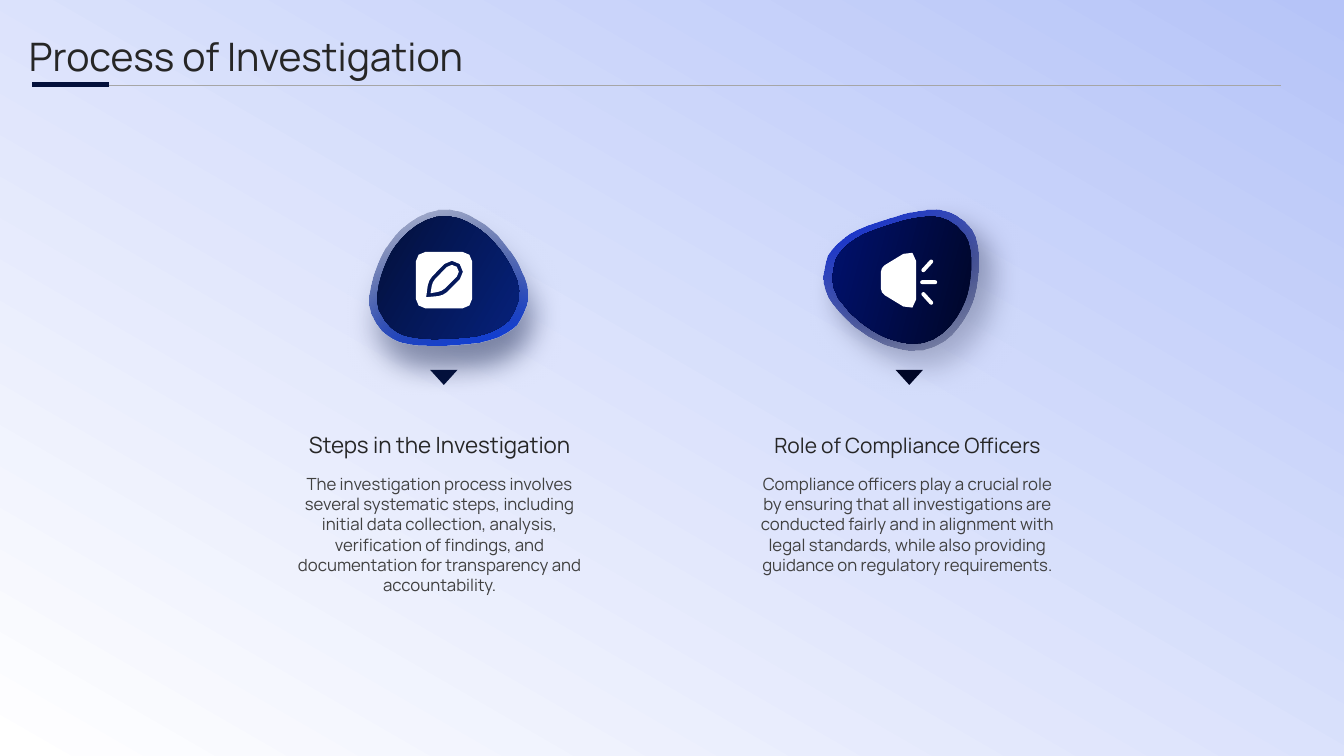
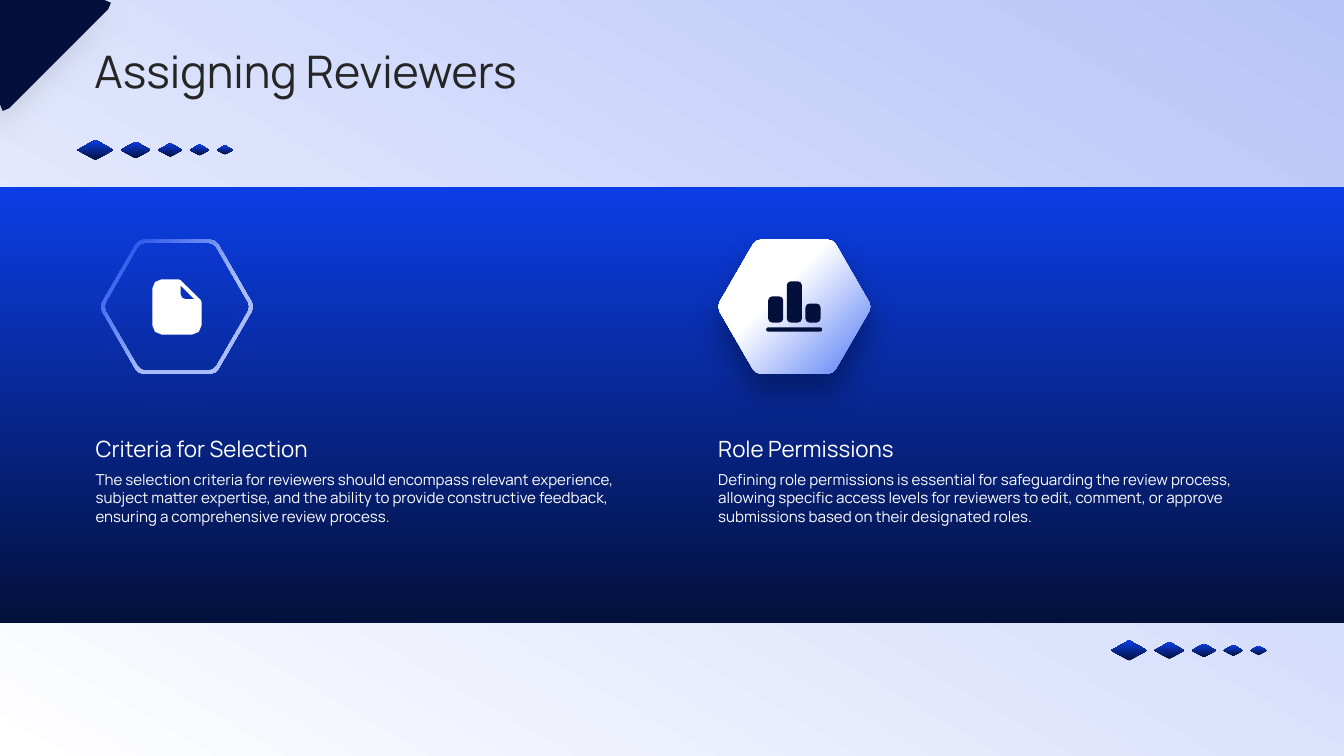
from math import ceil, cos, dist, radians, sin

from lxml.etree import SubElement
from pptx import Presentation
from pptx.dml.color import RGBColor
from pptx.enum.shapes import MSO_CONNECTOR, MSO_SHAPE
from pptx.enum.text import MSO_ANCHOR, MSO_AUTO_SIZE, PP_ALIGN
from pptx.oxml.ns import qn
from pptx.util import Cm, Pt

FONT = "Manrope"
NAVY = RGBColor(0x03, 0x10, 0x3B)
BLUE = RGBColor(0x0C, 0x3E, 0xE6)
DEEP_BLUE = RGBColor(0x06, 0x21, 0x7B)
MIDNIGHT = RGBColor(0x00, 0x06, 0x27)
ROYAL = RGBColor(0x00, 0x23, 0xE3)
DARK_ROYAL = RGBColor(0x00, 0x11, 0x6E)
PERIWINKLE = RGBColor(0xB6, 0xC4, 0xF8)
PALE_BLUE = RGBColor(0xAA, 0xBD, 0xFB)
SKY = RGBColor(0x54, 0x7A, 0xF6)
LILAC = RGBColor(0xD7, 0x83, 0xFF)
WHITE = RGBColor(0xFF, 0xFF, 0xFF)
INK = RGBColor(0x26, 0x26, 0x26)
BODY_GREY = RGBColor(0x40, 0x40, 0x40)
RULE_GREY = RGBColor(0xA6, 0xA6, 0xA6)
SHADOW_GREY = RGBColor(0x80, 0x80, 0x80)

SLIDE_W, SLIDE_H = 33.87, 19.05
COMPARISON = 4  # layout with a title, two headings and two bodies

# Bezier points of the badge around its centre, in cm; every third is on the curve
BLOB = [
    (1.77, -0.56), (1.59, -0.86), (1.33, -1.17), (1.03, -1.4), (0.85, -1.52),
    (0.65, -1.65), (0.42, -1.73), (-0.47, -2.03), (-1.21, -1.22), (-1.46, -0.81),
    (-1.69, -0.41), (-1.99, 0.38), (-1.82, 0.84), (-1.61, 1.3), (-1.36, 1.45),
    (-1.1, 1.55), (-0.83, 1.63), (-0.42, 1.65), (-0.29, 1.65), (-0.17, 1.65),
    (0.52, 1.63), (0.9, 1.57), (1.13, 1.52), (1.36, 1.45), (1.56, 1.32),
    (1.66, 1.27), (1.74, 1.19), (1.82, 1.12), (1.89, 1.02), (1.94, 0.91),
    (1.99, 0.81), (2.07, 0.66), (2.12, 0.48), (2.1, 0.3), (2.1, 0.1),
    (2.02, -0.08), (1.94, -0.23), (1.89, -0.36), (1.84, -0.46), (1.77, -0.56),
]


def set_gradient(fill, start, end, angle=90, start_at=0):
    """Two-stop gradient; the angle runs counter-clockwise from the left edge."""
    fill.gradient()
    fill.gradient_angle = angle
    for stop, color, position in zip(fill.gradient_stops, (start, end), (start_at, 1)):
        stop.color.rgb = color
        stop.position = position


def set_alpha(color_element, percent):
    SubElement(color_element, qn("a:alpha"), val=str(percent * 1000))


def make_radial(shape, *sides):
    """Turn a linear gradient into a circular one that starts in a corner."""
    grad = shape.element.spPr.find(qn("a:gradFill"))
    grad.remove(grad.find(qn("a:lin")))
    circle = SubElement(grad, qn("a:path"), path="circle")
    SubElement(circle, qn("a:fillToRect"), **dict.fromkeys(sides, "100000"))


def add_shadow(shape, color, alpha, blur, distance, direction=90):
    effects = shape.element.spPr.find(qn("a:effectLst"))
    outer = SubElement(effects, qn("a:outerShdw"), blurRad=str(Pt(blur)),
                       dist=str(Pt(distance)), dir=str(direction * 60000),
                       algn="ctr", rotWithShape="0")
    set_alpha(SubElement(outer, qn("a:srgbClr"), val=str(color)), alpha)


def make_plain(shape, color=None):
    shape.shadow.inherit = False
    shape.line.fill.background()
    if color is not None:
        shape.fill.solid()
        shape.fill.fore_color.rgb = color
    return shape


def add_preset(s, kind, x, y, w, h, color=None):
    return make_plain(s.shapes.add_shape(kind, Cm(x), Cm(y), Cm(w), Cm(h)), color)


def add_panel(s, y, h, start, end, angle, layer):
    """Full-width gradient rectangle, placed behind the placeholders."""
    panel = add_preset(s, MSO_SHAPE.RECTANGLE, 0, y, SLIDE_W, h)
    set_gradient(panel.fill, start, end, angle)
    s.shapes.element.insert(2 + layer, panel.element)


def add_outline(s, *contours, color=None):
    """One freeform from closed contours in cm; inner contours are holes."""
    builder = None
    for contour in contours:
        first, *rest = [(Cm(x), Cm(y)) for x, y in contour]
        if builder is None:
            builder = s.shapes.build_freeform(*first)
        else:
            builder.move_to(*first)
        builder.add_line_segments(rest, close=True)
    return make_plain(builder.convert_to_shape(), color)


def add_rule(s, x1, x2, y, color, width):
    line = s.shapes.add_connector(MSO_CONNECTOR.STRAIGHT, Cm(x1), Cm(y), Cm(x2), Cm(y))
    line.line.color.rgb = color
    line.line.width = Pt(width)
    SubElement(line.element.spPr, qn("a:effectLst"))


def curve(p0, p1, p2, p3):
    """Points on a cubic Bezier curve, both ends included."""
    steps = max(2, ceil(dist(p0, p3) / 0.25))
    points = []
    for i in range(steps + 1):
        t = i / steps
        weights = ((1 - t) ** 3, 3 * t * (1 - t) ** 2, 3 * t * t * (1 - t), t ** 3)
        points.append(tuple(sum(w * p[axis] for w, p in zip(weights, (p0, p1, p2, p3)))
                            for axis in (0, 1)))
    return points


def toward(a, b, share):
    return tuple(m + (n - m) * share for m, n in zip(a, b))


def rounded(*corners):
    """Polygon of (x, y, cut) corners, each rounded off over its cut length."""
    points = []
    for i, (x, y, cut) in enumerate(corners):
        corner = (x, y)
        if not cut:
            points.append(corner)
            continue
        before, after = corners[i - 1][:2], corners[(i + 1) % len(corners)][:2]
        start, end = (toward(corner, p, cut / dist(corner, p)) for p in (before, after))
        points += curve(start, toward(start, corner, 0.55), toward(end, corner, 0.55), end)
    return points


def rounded_box(x, y, w, h, cut):
    return rounded((x, y, cut), (x + w, y, cut), (x + w, y + h, cut), (x, y + h, cut))


def ray(x1, y1, x2, y2, half=0.05):
    """Thin bar with round ends between two points."""
    length = dist((x1, y1), (x2, y2))
    ux, uy = (x2 - x1) / length * half, (y2 - y1) / length * half
    return rounded((x1 - ux + uy, y1 - uy - ux, half), (x2 + ux + uy, y2 + uy - ux, half),
                   (x2 + ux - uy, y2 + uy + ux, half), (x1 - ux - uy, y1 - uy + ux, half))


def hexagon(cx, cy, radius):
    return rounded(*[(cx + radius * cos(radians(a)), cy + radius * sin(radians(a)), 0.13)
                     for a in range(0, 360, 60)])


def blob(cx, cy, turn, scale=1):
    c, n = cos(radians(turn)) * scale, sin(radians(turn)) * scale
    turned = [(cx + x * c - y * n, cy + x * n + y * c) for x, y in BLOB]
    points = []
    for i in range(0, len(turned) - 1, 3):
        points += curve(*turned[i:i + 4])[1:]
    return points


def write(ph, text, x, y, w, h, size, color, align=PP_ALIGN.LEFT, anchor=MSO_ANCHOR.TOP,
          inset=(0, 0)):
    """Place a placeholder and give it one plain paragraph."""
    ph.left, ph.top, ph.width, ph.height = Cm(x), Cm(y), Cm(w), Cm(h)
    tf = ph.text_frame
    tf.word_wrap = True
    tf.auto_size = MSO_AUTO_SIZE.NONE
    tf.vertical_anchor = anchor
    tf.margin_left = tf.margin_right = Cm(inset[0])
    tf.margin_top = tf.margin_bottom = Cm(inset[1])
    p = tf.paragraphs[0]
    pPr = p._p.get_or_add_pPr()
    pPr.set("marL", "0")
    pPr.set("indent", "0")
    SubElement(pPr, qn("a:buNone"))
    p.alignment = align
    p.space_before = Pt(0)
    p.line_spacing = 1.0
    r = p.add_run()
    r.text = text
    r.font.name = FONT
    r.font.size = Pt(size)
    r.font.bold = False
    r.font.color.rgb = color


def write_columns(s, columns, lefts, width, heading, body):
    """Fill the heading and body placeholders of both columns."""
    for i, ((title, text, size), x) in enumerate(zip(columns, lefts)):
        write(s.placeholders[1 + 2 * i], title, x, w=width, size=size,
              anchor=MSO_ANCHOR.BOTTOM, **heading)
        write(s.placeholders[2 + 2 * i], text, x, w=width, **body)


def add_badge(s, cx, turn, dark, bright, inner, shadow_direction):
    cy = 7.06
    rim = add_outline(s, blob(cx, cy, turn))
    set_gradient(rim.fill, dark, bright, 285 - turn)
    set_alpha(next(rim.element.spPr.iter(qn("a:srgbClr"))), 20)
    add_shadow(rim, dark, 55, 20, 16, shadow_direction)
    core = add_outline(s, blob(cx, cy, turn, 0.9))
    set_gradient(core.fill, dark, inner, 330 - turn)
    pointer = add_preset(s, MSO_SHAPE.ISOSCELES_TRIANGLE, cx - 0.35, 9.32, 0.69, 0.38, dark)
    pointer.rotation = 180


def add_edit_icon(s):
    add_outline(
        s,
        rounded_box(10.48, 6.35, 1.42, 1.42, 0.24),
        rounded((10.74, 7.49, 0), (10.8, 7.06, 0.13), (11.39, 6.46, 0.27),
                (11.78, 6.85, 0.27), (11.18, 7.45, 0.13)),
        rounded((10.85, 7.39, 0), (10.9, 7.1, 0.1), (11.39, 6.6, 0.18),
                (11.64, 6.85, 0.18), (11.14, 7.34, 0.1)),
        color=WHITE)


def add_speaker_icon(s):
    horn = rounded((22.2, 6.74, 0.11), (23.09, 6.2, 0.38), (23.09, 7.92, 0.38),
                   (22.2, 7.38, 0.11))
    rays = [ray(23.27, 7.11 + 0.3 * side, 23.47, 7.11 + 0.52 * side) for side in (-1, 1)]
    add_outline(s, horn, *rays, ray(23.24, 7.11, 23.57, 7.11), color=WHITE)


def add_document_icon(s):
    add_outline(
        s,
        rounded((3.84, 7.04, 0.23), (4.53, 7.04, 0.04), (5.08, 7.58, 0.04),
                (5.08, 8.43, 0.23), (3.84, 8.43, 0.23)),
        rounded((4.55, 7.19, 0), (4.9, 7.54, 0), (4.55, 7.54, 0.13)),
        color=WHITE)


def add_bars_icon(s):
    bars = [rounded_box(19.36 + 0.47 * i, 8.13 - height, 0.38, height, 0.1)
            for i, height in enumerate((0.66, 1.04, 0.48))]
    add_outline(s, rounded_box(19.31, 8.25, 1.41, 0.11, 0.05), *bars, color=NAVY)


def add_diamonds(s, x, cy):
    for width in (0.91, 0.76, 0.62, 0.5, 0.42):
        height = width * 0.56
        sp = add_preset(s, MSO_SHAPE.DIAMOND, x, cy - height / 2, width, height)
        set_gradient(sp.fill, NAVY, BLUE)
        x += width + 0.18


def add_base_slide(prs):
    s = prs.slides.add_slide(prs.slide_layouts[COMPARISON])
    add_panel(s, 0, SLIDE_H, PERIWINKLE, WHITE, 240, layer=0)
    return s


def add_investigation_slide(prs):
    s = add_base_slide(prs)
    write(s.shapes.title, "Process of Investigation", 0.48, 0.69, 31.78, 1.35, 28, INK,
          inset=(0.25, 0.13))
    add_rule(s, 0.86, 32.28, 2.14, RULE_GREY, 0.5)
    add_rule(s, 0.81, 2.74, 2.14, NAVY, 3.5)
    columns = [
        ("Steps in the Investigation", "The investigation process involves several systematic steps, including initial data collection, analysis, verification of findings, and documentation for transparency and accountability.", 16),
        ("Role of Compliance Officers", "Compliance officers play a crucial role by ensuring that all investigations are conducted fairly and in alignment with legal standards, while also providing guidance on regulatory requirements.", 15),
    ]
    centred = dict(align=PP_ALIGN.CENTER, inset=(0.18, 0.1))
    write_columns(s, columns, (6.99, 18.78), 8.18,
                  dict(y=10.07, h=1.57, color=INK, **centred),
                  dict(y=11.84, h=5.16, size=12, color=BODY_GREY, **centred))
    add_badge(s, 11.19, 0, NAVY, BLUE, DEEP_BLUE, 75)
    add_edit_icon(s)
    add_badge(s, 22.92, 165, MIDNIGHT, ROYAL, DARK_ROYAL, 50)
    add_speaker_icon(s)


def add_reviewers_slide(prs):
    s = add_base_slide(prs)
    add_panel(s, 4.71, 10.99, NAVY, BLUE, 90, layer=1)
    write(s.shapes.title, "Assigning Reviewers", 2.38, 1.19, 29.36, 1.19, 32, INK,
          anchor=MSO_ANCHOR.MIDDLE)
    columns = [
        ("Criteria for Selection", "The selection criteria for reviewers should encompass relevant experience, subject matter expertise, and the ability to provide constructive feedback, ensuring a comprehensive review process.", 16),
        ("Role Permissions", "Defining role permissions is essential for safeguarding the review process, allowing specific access levels for reviewers to edit, comment, or approve submissions based on their designated roles.", 16),
    ]
    write_columns(s, columns, (2.41, 18.1), 13.31,
                  dict(y=9.93, h=1.7, color=WHITE),
                  dict(y=11.86, h=2.62, size=10.8, color=WHITE))
    for x, y in ((1.95, 3.78), (28, 16.39)):
        add_diamonds(s, x, y)

    ring = add_outline(s, hexagon(4.46, 7.73, 1.95), hexagon(4.46, 7.73, 1.86))
    set_gradient(ring.fill, PALE_BLUE, BLUE, start_at=0.39)
    make_radial(ring, "l", "t")
    add_shadow(ring, LILAC, 10, 30, 16)
    add_document_icon(s)

    tile = add_outline(s, hexagon(20.02, 7.73, 1.95))
    set_gradient(tile.fill, WHITE, SKY, start_at=0.39)
    make_radial(tile, "r", "b")
    add_shadow(tile, NAVY, 50, 22, 14)
    add_bars_icon(s)

    corner = add_outline(s, rounded((0, 0, 0), (2.96, 0, 0.33), (0, 2.96, 0.33)), color=NAVY)
    add_shadow(corner, SHADOW_GREY, 30, 25, 15, 135)


def main():
    prs = Presentation()
    prs.slide_width, prs.slide_height = Cm(SLIDE_W), Cm(SLIDE_H)
    add_investigation_slide(prs)
    add_reviewers_slide(prs)
    prs.save("out.pptx")


if __name__ == "__main__":
    main()
